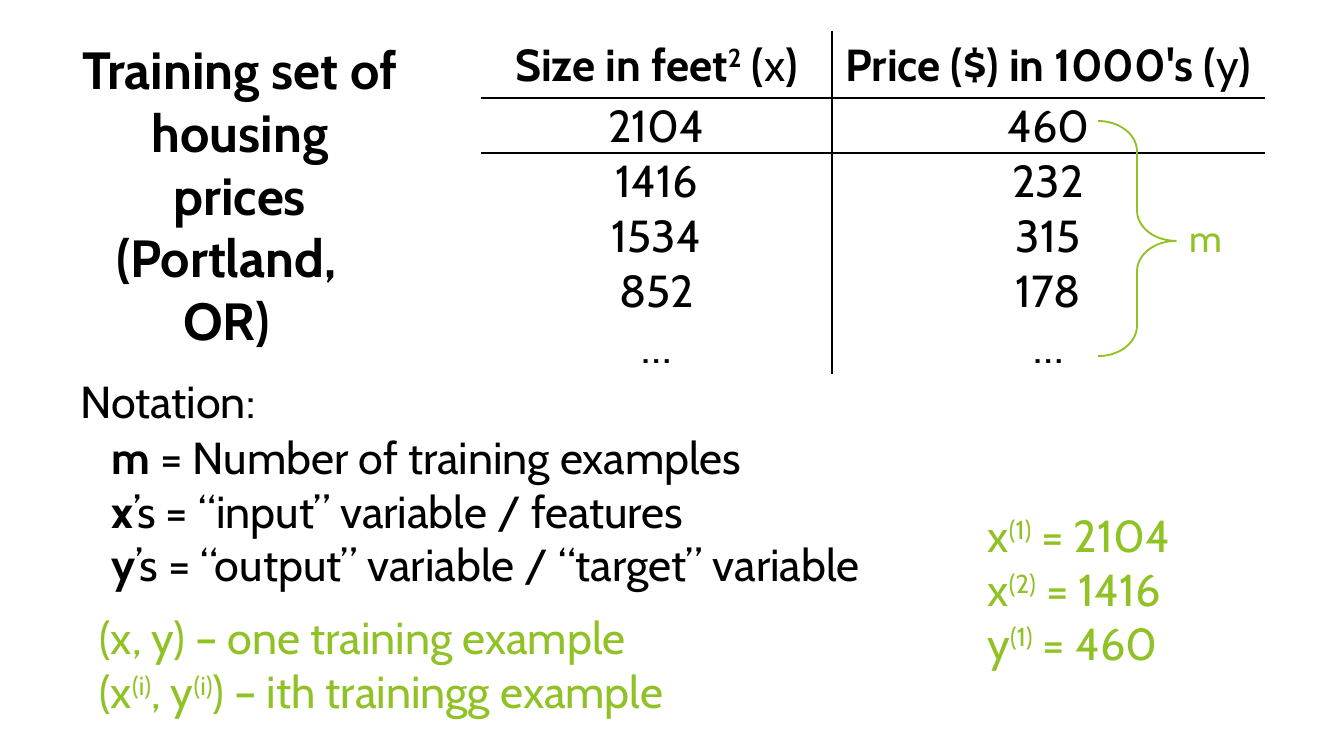
import pptx
import pptx.dml.color
import pptx.enum.shapes
import pptx.enum.text
import pptx.oxml.ns
import pptx.util
from lxml import etree

Inches, Pt = pptx.util.Inches, pptx.util.Pt
ALIGN = pptx.enum.text.PP_ALIGN
ANCHOR = pptx.enum.text.MSO_ANCHOR
COLORS = {"ink": "000000", "accent": "90C226"}
FONT = "Cabin"


def rgb(name):
    return pptx.dml.color.RGBColor.from_string(COLORS[name])


def add_runs(p, runs, size, color):
    """Each run is (text, style): "b" is bold, "^" is superscript."""
    for text, style in runs:
        r = p.add_run()
        r.text = text
        fmt = {"name": FONT, "size": Pt(size), "bold": "b" in style}
        for key, value in fmt.items():
            setattr(r.font, key, value)
        r.font.color.rgb = rgb(color)
        if "^" in style:
            r.font._element.set("baseline", "30000")


def add_text(s, box, lines, size=24, color="ink", align=ALIGN.LEFT):
    tf = s.shapes.add_textbox(*map(Inches, box)).text_frame
    tf.word_wrap = False
    tf.auto_size = pptx.enum.text.MSO_AUTO_SIZE.SHAPE_TO_FIT_TEXT
    for i, runs in enumerate(lines):
        p = tf.add_paragraph() if i else tf.paragraphs[0]
        p.alignment = align
        add_runs(p, runs, size, color)
    return tf


def set_indent(p, **sides):
    for side, inches in sides.items():
        p._p.get_or_add_pPr().set(side, str(Inches(inches)))


def set_borders(cell, drawn):
    tcPr = cell._tc.get_or_add_tcPr()
    for side in "LRTB":
        ln = etree.SubElement(tcPr, pptx.oxml.ns.qn(f"a:ln{side}"), w=str(Pt(1)))
        if side in drawn:
            fill = etree.SubElement(ln, pptx.oxml.ns.qn("a:solidFill"))
            etree.SubElement(fill, pptx.oxml.ns.qn("a:srgbClr"), val=COLORS["ink"])
        else:
            etree.SubElement(ln, pptx.oxml.ns.qn("a:noFill"))


def add_price_table(s, box):
    header = [
        [("Size in feet", "b"), ("2", "b^"), (" (", "b"), ("x", ""), (")", "b")],
        [("Price ($) in 1000's (", "b"), ("y", ""), (")", "b")],
    ]
    data = [("2104", "460"), ("1416", "232"), ("1534", "315"), ("852", "178"), ("…", "…")]
    rows = [header] + [[[(value, "")] for value in pair] for pair in data]
    table = s.shapes.add_table(len(rows), 2, *map(Inches, box)).table
    table.first_row = table.horz_banding = False
    for col, width in zip(table.columns, (2.61, 3.22)):
        col.width = Inches(width)
    for i, row in enumerate(rows):
        table.rows[i].height = Inches(0.32 if i else 0.5)
        for j, runs in enumerate(row):
            cell = table.cell(i, j)
            fmt = {
                "margin_left": Inches(0.01), "margin_right": Inches(0.01),
                "margin_top": Inches(0.01), "margin_bottom": 0,
                "vertical_anchor": ANCHOR.BOTTOM if i else ANCHOR.MIDDLE,
            }
            for key, value in fmt.items():
                setattr(cell, key, value)
            # One vertical rule, and rules under the header and first example
            drawn = "L" if j else "R"
            drawn += "B" if i < 2 else ""
            drawn += "T" if i in (1, 2) else ""
            set_borders(cell, drawn)
            cell.fill.background()
            p = cell.text_frame.paragraphs[0]
            p.alignment = ALIGN.CENTER
            add_runs(p, runs, 24, "ink")


def add_count_brace(s, box):
    left, top, width, height = box
    sp = s.shapes.add_shape(
        pptx.enum.shapes.MSO_SHAPE.RIGHT_BRACE, *map(Inches, box))
    sp.adjustments[0], sp.adjustments[1] = 0.39, 0.51
    sp.shadow.inherit = False
    sp.fill.background()
    sp.line.color.rgb = rgb("accent")
    sp.line.width = Pt(1)
    label = (left + width, top + height / 2 - 0.22, 0.43, 0.44)
    add_text(s, label, [[("m", "")]], size=20, color="accent")


def add_notation(s, box):
    terms = [
        ("m", " = Number of training examples"),
        ("x", "’s = “input” variable / features"),
        ("y", "’s = “output” variable / “target” variable"),
    ]
    lines = [[("Notation:", "")]] + [[(a, "b"), (b, "")] for a, b in terms]
    tf = add_text(s, box, lines)
    tf.paragraphs[0].space_after = Pt(1.2)
    for p in tf.paragraphs[1:]:
        set_indent(p, marL=0.23)


def add_examples(s, box):
    add_text(s, box, [
        [("(x, y) – one training example", "")],
        [("(x", ""), ("(i)", "^"), (", y", ""), ("(i)", "^"),
         (") – ith trainingg example", "")],
    ], color="accent")


def add_values(s, box):
    values = [("x", 1, 2104), ("x", 2, 1416), ("y", 1, 460)]
    add_text(s, box, [
        [(name, ""), (f"({i})", "^"), (f" = {value}", "")] for name, i, value in values
    ], color="accent")


def add_title(s, box):
    lines = ["Training set of", "housing prices", "(Portland, OR)"]
    tf = add_text(s, box, [[(line, "b")] for line in lines], size=28, align=ALIGN.CENTER)
    tf.word_wrap = True
    tf.margin_left = tf.margin_right = Inches(0.05)
    # Side indents wrap the middle paragraph after its first word
    set_indent(tf.paragraphs[1], marL=0.2, marR=0.2)


def main():
    prs = pptx.Presentation()
    prs.slide_width = Inches(10)
    prs.slide_height = prs.slide_width * 9 // 16
    s = prs.slides.add_slide(prs.slide_layouts[6])
    add_notation(s, (0.5, 2.73, 6.03, 1.75))
    add_price_table(s, (3.58, 0.23, 5.83, 2.1))
    add_title(s, (0.5, 0.23, 2.57, 1.97))
    add_examples(s, (0.64, 4.49, 4.44, 0.91))
    add_values(s, (7.25, 3.73, 1.6, 1.31))
    add_count_brace(s, (8.17, 0.9, 0.58, 1.75))
    prs.save("out.pptx")


if __name__ == "__main__":
    main()
